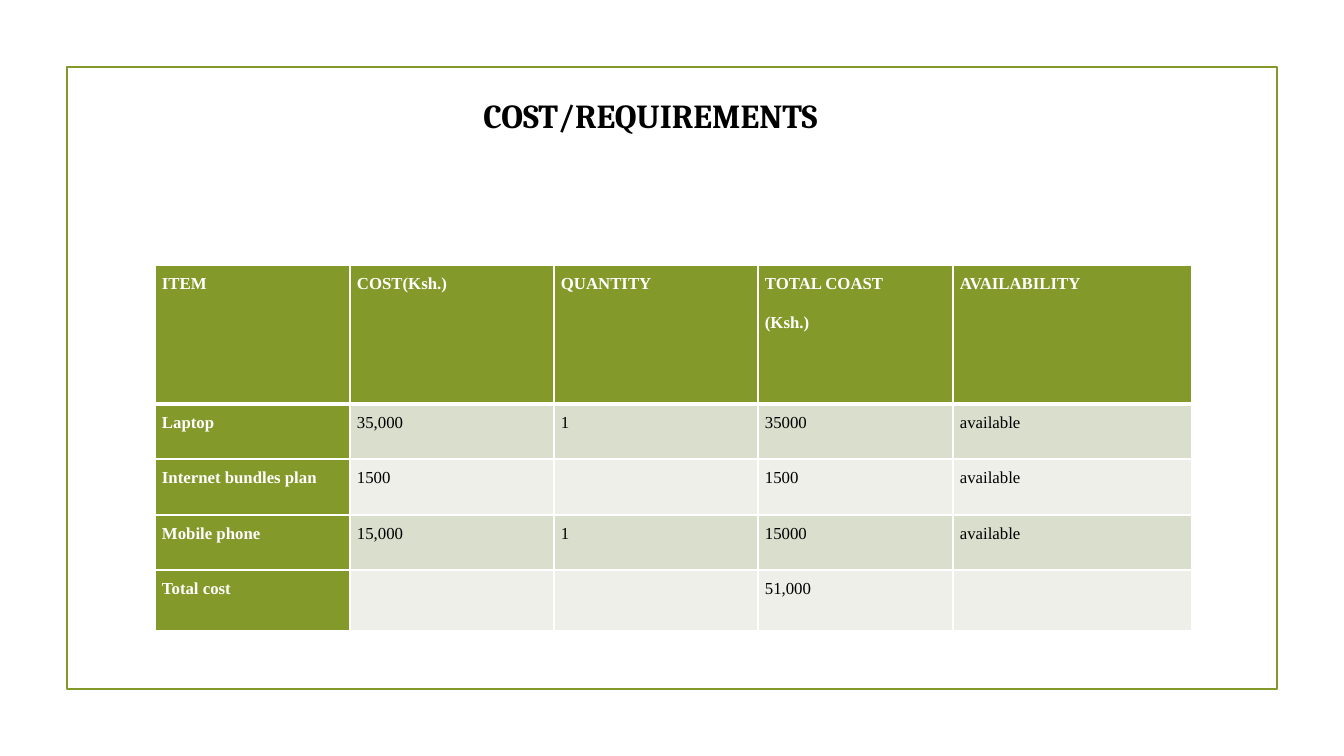
from lxml.etree import SubElement
from pptx import Presentation
from pptx.dml.color import RGBColor
from pptx.enum.shapes import MSO_CONNECTOR, MSO_SHAPE
from pptx.enum.text import MSO_AUTO_SIZE, PP_ALIGN
from pptx.oxml.ns import qn
from pptx.util import Emu, Pt

GREEN = RGBColor(0x83, 0x99, 0x2A)
DARK = RGBColor(0xD9, 0xDE, 0xCD)
PALE = RGBColor(0xED, 0xEF, 0xE8)
WHITE = RGBColor(0xFF, 0xFF, 0xFF)
BLACK = RGBColor(0, 0, 0)

COLS = [195, 204, 204, 195, 239]
ROWS = [139, 55, 56, 55, 61]
COSTS = [
    ["ITEM", "COST(Ksh.)", "QUANTITY", "TOTAL COAST\n(Ksh.)", "AVAILABILITY"],
    ["Laptop", "35,000", "1", "35000", "available"],
    ["Internet bundles plan", "1500", "", "1500", "available"],
    ["Mobile phone", "15,000", "1", "15000", "available"],
    ["Total cost", "", "", "51,000", ""],
]


def px(count):
    return Emu(round(count * 914400 / 100.8))


def add_run(para, text, font, size, color, bold):
    run = para.add_run()
    run.text = text
    run.font.name = font
    run.font.size = Pt(size)
    run.font.bold = bold
    run.font.color.rgb = color


def add_frame(slide, left, top, width, height):
    frame = slide.shapes.add_shape(
        MSO_SHAPE.RECTANGLE, px(left), px(top), px(width), px(height))
    frame.shadow.inherit = False
    frame.fill.background()
    frame.line.color.rgb = GREEN
    frame.line.width = Pt(1.25)
    rule = slide.shapes.add_connector(
        MSO_CONNECTOR.STRAIGHT, px(left + 87), px(top + 200),
        px(left + width - 86), px(top + 200))
    rule.line.color.rgb = GREEN
    rule.line.width = Pt(1.25)
    SubElement(rule.element.spPr, qn("a:effectLst"))


def add_title(slide, left, top, width, height):
    box = slide.shapes.add_textbox(px(left), px(top), px(width), px(height))
    text = box.text_frame
    text.word_wrap = True
    text.auto_size = MSO_AUTO_SIZE.SHAPE_TO_FIT_TEXT
    para = text.paragraphs[0]
    para.alignment = PP_ALIGN.CENTER
    add_run(para, "COST/REQUIREMENTS", "Cambria", 24, BLACK, True)


def set_edges(cell, head):
    props = cell._tc.get_or_add_tcPr()
    for spot, side in enumerate(("lnL", "lnR", "lnT", "lnB")):
        width = Pt(3) if head and side == "lnB" else Pt(1)
        edge = props.makeelement(qn("a:" + side), {"w": str(width)})
        fill = SubElement(edge, qn("a:solidFill"))
        SubElement(fill, qn("a:srgbClr"), val=str(WHITE))
        props.insert(spot, edge)


def fill_cell(cell, text, row, col):
    label = row == 0 or col == 0
    cell.fill.solid()
    cell.fill.fore_color.rgb = GREEN if label else DARK if row % 2 else PALE
    cell.margin_left = cell.margin_right = px(7)
    cell.margin_top = cell.margin_bottom = 0
    set_edges(cell, row == 0)
    if not text:
        return
    frame = cell.text_frame
    for spot, line in enumerate(text.split("\n")):
        para = frame.add_paragraph() if spot else frame.paragraphs[0]
        para.alignment = PP_ALIGN.JUSTIFY
        para.line_spacing = 1.5
        para.space_after = Pt(8)
        add_run(para, line, "Times New Roman", 12,
                WHITE if label else BLACK, label)


def add_costs(slide, left, top):
    table = slide.shapes.add_table(
        len(ROWS), len(COLS), px(left), px(top),
        px(sum(COLS)), px(sum(ROWS))).table
    table.first_col = True
    for col, width in enumerate(COLS):
        table.columns[col].width = px(width)
    for row, height in enumerate(ROWS):
        table.rows[row].height = px(height)
        for col, text in enumerate(COSTS[row]):
            fill_cell(table.cell(row, col), text, row, col)


def main():
    deck = Presentation()
    deck.slide_width = px(1344)
    deck.slide_height = px(756)
    slide = deck.slides.add_slide(deck.slide_layouts[6])
    add_frame(slide, 67, 67, 1210, 622)
    add_title(slide, 84, 90, 1133, 50)
    add_costs(slide, 155, 265)
    deck.save("out.pptx")


if __name__ == "__main__":
    main()
